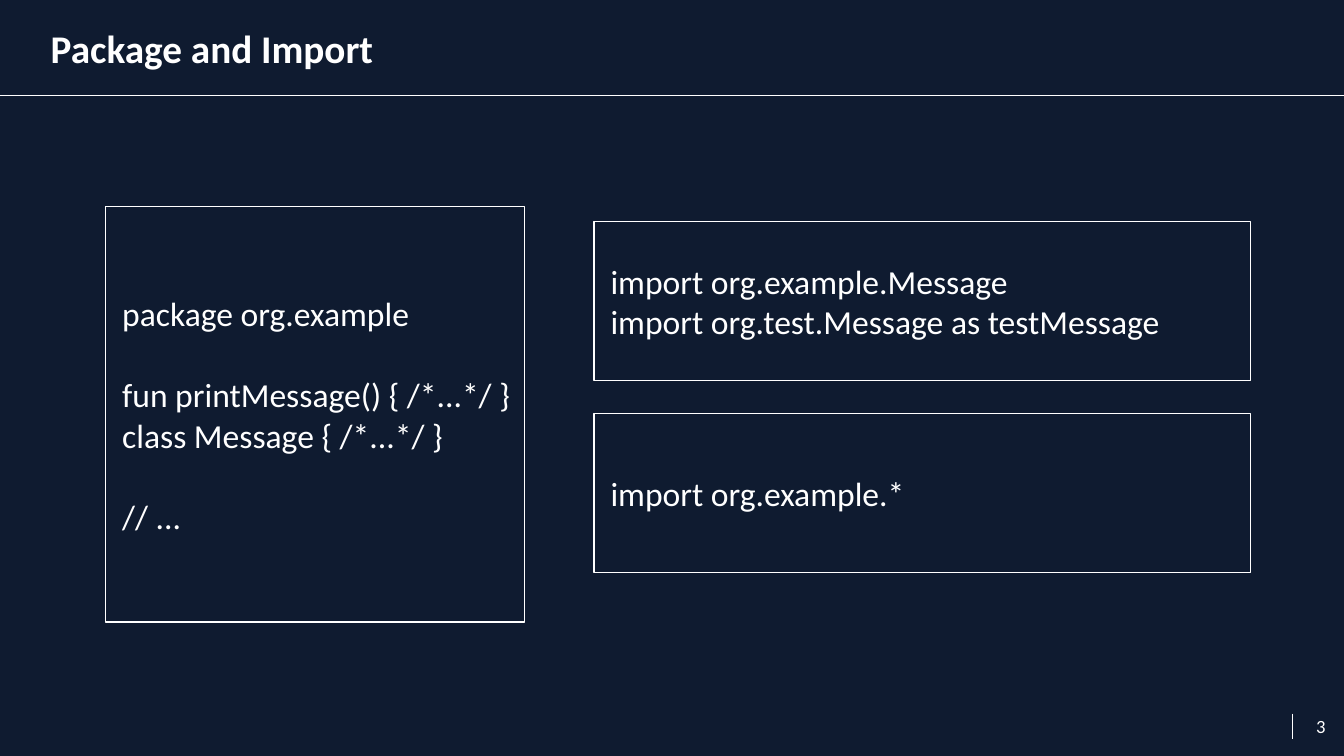
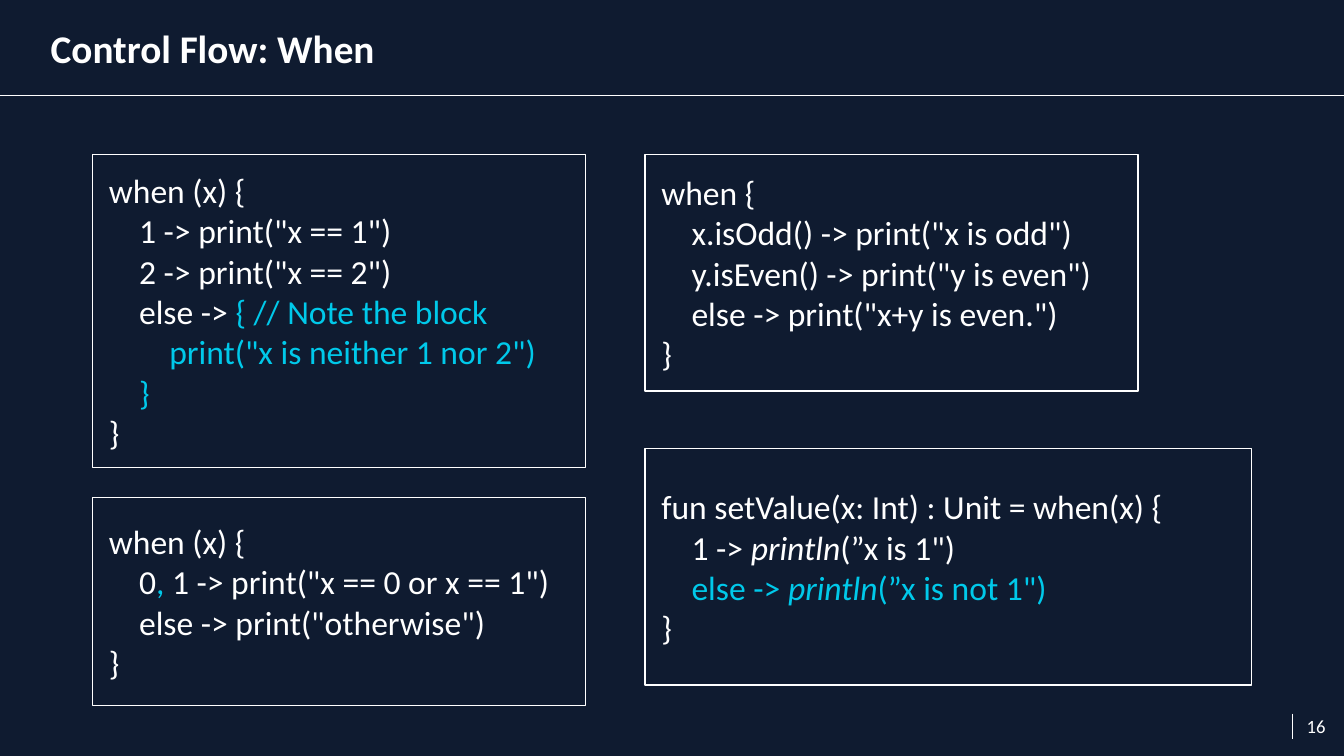
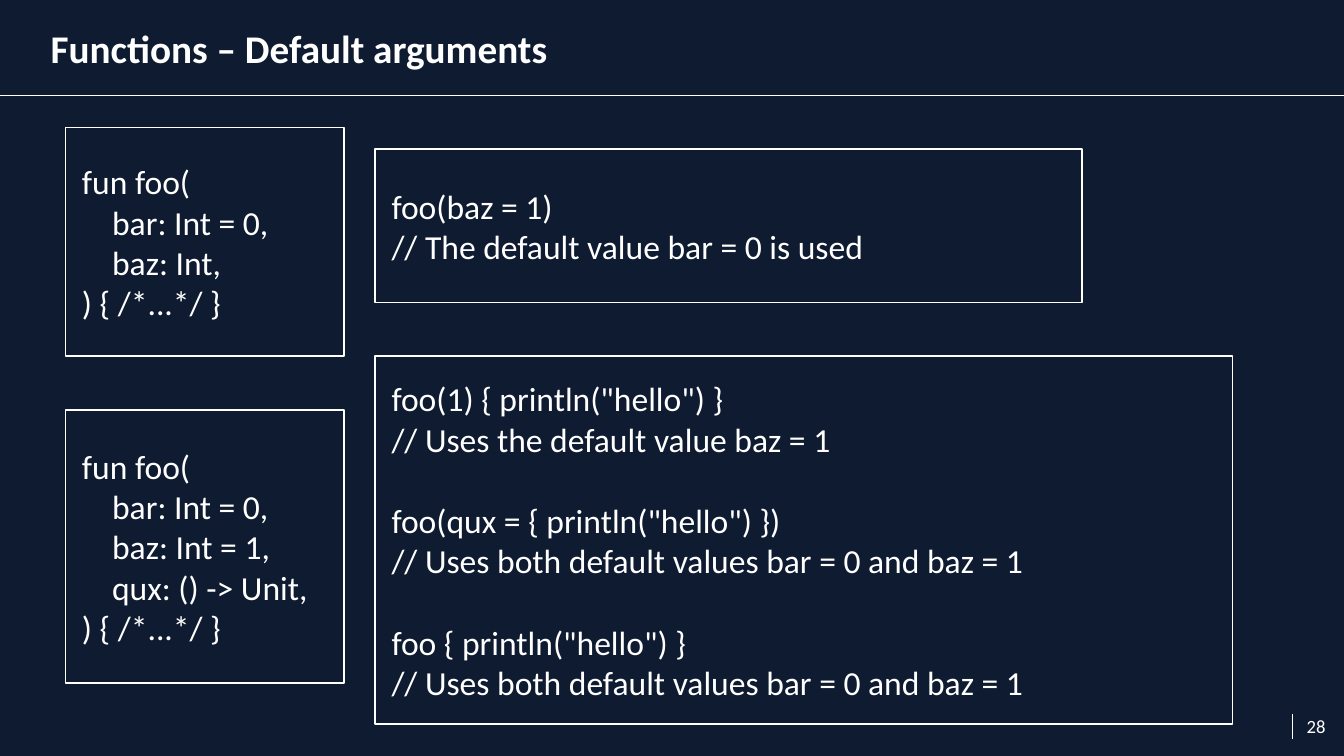
from dataclasses import dataclass
from lxml.etree import SubElement
from pptx import Presentation
from pptx.dml.color import RGBColor as RGB
from pptx.enum.shapes import MSO_CONNECTOR as LINE, MSO_SHAPE as SHAPE
from pptx.enum.text import MSO_ANCHOR as ANCHOR, PP_ALIGN as ALIGN
from pptx.oxml.ns import qn
from pptx.util import Cm, Pt


@dataclass(frozen=True)
class Theme:
    night: RGB = RGB(0x0F, 0x1B, 0x30)
    white: RGB = RGB(0xFF, 0xFF, 0xFF)
    cyan: RGB = RGB(0x00, 0xC9, 0xEA)
    font: str = "Calibri"
    title_size: int = 21
    code_size: int = 18
    number_size: int = 10
    blank_line: int = 22
    rule: float = 0.75


theme = Theme()
NOTE = {"color": theme.cyan}
CALL = {"italic": True}


def write(shape, lines, size=theme.code_size, bold=False, align=ALIGN.LEFT,
          inset=0, margin=0.0, step=0.57):
    """Fill a shape with (level, run, ...) lines; None leaves a line's gap.

    A run is a string, or a string with its own colour or italic setting.
    """
    frame = shape.text_frame
    frame.word_wrap = True
    frame.vertical_anchor = ANCHOR.MIDDLE
    frame.margin_left = frame.margin_right = Cm(inset)
    frame.margin_top = frame.margin_bottom = Cm(inset)
    paragraph, gap = frame.paragraphs[0], 0
    for line in lines:
        if line is None:
            gap = theme.blank_line
            continue
        if paragraph.runs:
            paragraph = frame.add_paragraph()
        level, *runs = line
        paragraph.alignment = align
        paragraph.space_before = Pt(gap)
        gap = 0
        layout = paragraph._p.get_or_add_pPr()
        layout.set("marL", str(Cm(margin + level * step)))
        layout.set("indent", "0")
        for part in runs:
            words, style = (part, {}) if isinstance(part, str) else part
            run = paragraph.add_run()
            run.text = words
            run.font.name = theme.font
            run.font.size = Pt(size)
            run.font.bold = bold
            run.font.italic = style.get("italic", False)
            run.font.color.rgb = style.get("color", theme.white)


# Code boxes: (left, top, width, height) in cm, then the code lines
package_code = [
    ((2, 3.91, 7.92, 7.85), [
        (0, "package org.example"),
        None,
        (0, "fun printMessage() { /*...*/ }"),
        (0, "class Message { /*...*/ }"),
        None,
        (0, "// ..."),
    ]),
    ((11.23, 4.19, 12.4, 3), [
        (0, "import org.example.Message"),
        (0, "import org.test.Message as testMessage"),
    ]),
    ((11.23, 7.82, 12.4, 3), [
        (0, "import org.example.*"),
    ]),
]

when_code = [
    ((1.75, 2.92, 9.32, 5.92), [
        (0, "when (x) {"),
        (1, '1 -> print("x == 1")'),
        (1, '2 -> print("x == 2")'),
        (1, "else -> ", ("{ // Note the block", NOTE)),
        (2, ('print("x is neither 1 nor 2")', NOTE)),
        (1, ("}", NOTE)),
        (0, "}"),
    ]),
    ((1.75, 9.4, 9.32, 3.94), [
        (0, "when (x) {"),
        (1, "0", (",", NOTE), ' 1 -> print("x == 0 or x == 1")'),
        (1, 'else -> print("otherwise")'),
        (0, "}"),
    ]),
    ((12.19, 2.92, 9.32, 4.47), [
        (0, "when {"),
        (1, 'x.isOdd() -> print("x is odd")'),
        (1, 'y.isEven() -> print("y is even")'),
        (1, 'else -> print("x+y is even.")'),
        (0, "}"),
    ]),
    ((12.19, 8.48, 11.46, 4.47), [
        (0, "fun setValue(x: Int) : Unit = when(x) {"),
        (1, "1 -> ", ("println", CALL), '(”x is 1")'),
        (1, ("else -> ", NOTE), ("println", NOTE | CALL),
         ('(”x is not 1")', NOTE)),
        (0, "}"),
    ]),
]

arguments_code = [
    ((1.24, 2.41, 5.26, 4.32), [
        (0, "fun foo("),
        (1, "bar: Int = 0,"),
        (1, "baz: Int,"),
        (0, ") { /*...*/ }"),
    ]),
    ((1.24, 7.75, 5.26, 5.16), [
        (0, "fun foo("),
        (1, "bar: Int = 0,"),
        (1, "baz: Int = 1,"),
        (1, "qux: () -> Unit,"),
        (0, ") { /*...*/ }"),
    ]),
    ((7.09, 2.82, 13.36, 2.9), [
        (0, "foo(baz = 1)"),
        (0, "// The default value bar = 0 is used"),
    ]),
    ((7.09, 6.73, 16.2, 6.96), [
        (0, 'foo(1) { println("hello") }'),
        (0, "// Uses the default value baz = 1"),
        None,
        (0, 'foo(qux = { println("hello") })'),
        (0, "// Uses both default values bar = 0 and baz = 1"),
        None,
        (0, 'foo { println("hello") }'),
        (0, "// Uses both default values bar = 0 and baz = 1"),
    ]),
]

lessons = [
    ("Package and Import", 3, package_code),
    ("Control Flow: When", 16, when_code),
    ("Functions – Default arguments", 28, arguments_code),
]

# Header rule and page number rule: start x, start y, end x, end y
rules = [(0, 1.81, 25.4, 1.81), (24.43, 13.49, 24.43, 13.97)]

deck = Presentation()
deck.slide_width, deck.slide_height = Cm(25.4), Cm(14.29)
backdrop = deck.slide_master.background.fill
backdrop.solid()
backdrop.fore_color.rgb = theme.night

for heading, page, code in lessons:
    slide = deck.slides.add_slide(deck.slide_layouts[6])

    # Page number, rules and title
    page_number = slide.shapes.add_textbox(Cm(24.13), Cm(13.18), Cm(1.17), Cm(1.09))
    write(page_number, [(0, str(page))], size=theme.number_size,
          align=ALIGN.RIGHT, inset=0.25)
    for ends in rules:
        rule = slide.shapes.add_connector(LINE.STRAIGHT, *map(Cm, ends))
        rule.line.color.rgb = theme.white
        rule.line.width = Pt(theme.rule)
        SubElement(rule._element.spPr, qn("a:effectLst"))
    title = slide.shapes.add_textbox(Cm(0.96), Cm(0), Cm(23.5), Cm(1.81))
    write(title, [(0, heading)], size=theme.title_size, bold=True)

    # Code boxes
    for place, lines in code:
        code_box = slide.shapes.add_shape(SHAPE.RECTANGLE, *map(Cm, place))
        code_box.shadow.inherit = False
        code_box.fill.background()
        code_box.line.color.rgb = theme.white
        code_box.line.width = Pt(theme.rule)
        write(code_box, lines, margin=0.31)

deck.save("out.pptx")
